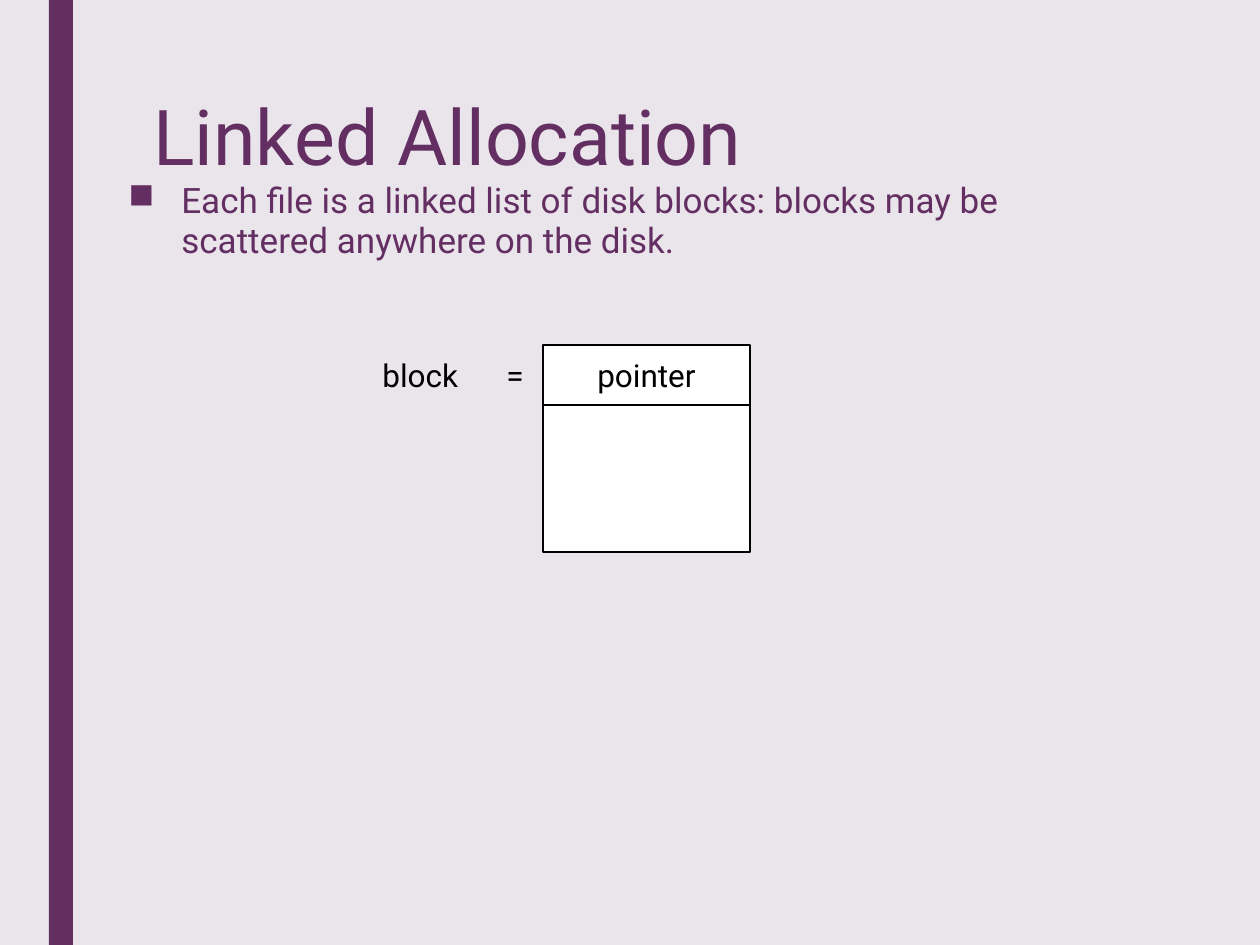
from dataclasses import dataclass

from lxml import etree
from pptx import Presentation
from pptx.dml.color import RGBColor
from pptx.enum.shapes import MSO_SHAPE
from pptx.enum.text import MSO_ANCHOR, PP_ALIGN
from pptx.oxml.ns import qn
from pptx.util import Emu, Pt

RECTANGLE = MSO_SHAPE.RECTANGLE
TOP, MIDDLE = MSO_ANCHOR.TOP, MSO_ANCHOR.MIDDLE
LEFT, CENTER = PP_ALIGN.LEFT, PP_ALIGN.CENTER
EMU_PER_PX = 914400 // 126
BLANK_LAYOUT = 6


@dataclass(frozen=True)
class Theme:
    background: RGBColor = RGBColor(0xEA, 0xE5, 0xEB)
    accent: RGBColor = RGBColor(0x63, 0x2E, 0x62)
    ink: RGBColor = RGBColor(0, 0, 0)
    paper: RGBColor = RGBColor(0xFF, 0xFF, 0xFF)
    font: str = "Roboto"
    title_size: int = 44
    body_size: int = 20
    label_size: int = 18
    line_width: float = 0.75


THEME = Theme()


def px(length):
    return Emu(length * EMU_PER_PX)


def add_box(slide, box, fill, line=None):
    rectangle = slide.shapes.add_shape(RECTANGLE, *map(px, box))
    rectangle.shadow.inherit = False
    rectangle.fill.solid()
    rectangle.fill.fore_color.rgb = fill
    if line is None:
        rectangle.line.fill.background()
    else:
        rectangle.line.color.rgb = line
        rectangle.line.width = Pt(THEME.line_width)
    return rectangle


def write(shape, text, *, size, color, align=LEFT, anchor=TOP, wrap=True, spacing=1.0):
    frame = shape.text_frame
    frame.word_wrap = wrap
    frame.vertical_anchor = anchor
    paragraph = frame.paragraphs[0]
    paragraph.alignment = align
    paragraph.line_spacing = spacing
    run = paragraph.add_run()
    run.text = text
    run.font.name = THEME.font
    run.font.size = Pt(size)
    run.font.color.rgb = color
    return paragraph


def add_text(slide, box, text, **text_format):
    return write(slide.shapes.add_textbox(*map(px, box)), text, **text_format)


def set_bullet(paragraph, mark, indent):
    properties = paragraph._p.get_or_add_pPr()
    properties.set("marL", str(px(indent)))
    properties.set("indent", str(px(-indent)))
    etree.SubElement(properties, qn("a:buChar"), char=mark)


def set_tab_stop(paragraph, position):
    tabs = etree.SubElement(paragraph._p.get_or_add_pPr(), qn("a:tabLst"))
    etree.SubElement(tabs, qn("a:tab"), pos=str(px(position)), algn="l")


def add_side_bar(slide, box):
    add_box(slide, box, THEME.accent)


def add_heading(slide, box):
    left, top, width, height = box
    # Title
    add_text(slide, (left + 25, top, width - 25, 84), "Linked Allocation",
             size=THEME.title_size, color=THEME.accent, spacing=0.89)
    # Bulleted statement
    statement = add_text(
        slide, (left, top + 82, width, height - 82),
        "Each file is a linked list of disk blocks: blocks may be scattered anywhere on the disk.",
        size=THEME.body_size, color=THEME.accent, spacing=0.94)
    statement.space_before, statement.space_after = Pt(10), Pt(2)
    set_bullet(statement, "■", 53)


def add_block_diagram(slide, box):
    left, top, width, height = box
    label_width, pointer_height = 173, 60
    block_left, block_width = left + label_width, width - label_width
    # Block: pointer field above the data field
    pointer = add_box(slide, (block_left, top, block_width, pointer_height),
                      THEME.paper, THEME.ink)
    write(pointer, "pointer", size=THEME.label_size, color=THEME.ink,
          align=CENTER, anchor=MIDDLE, wrap=False)
    add_box(slide, (block_left, top + pointer_height, block_width, height - pointer_height),
            THEME.paper, THEME.ink)
    # Equation label on the left
    equation = add_text(slide, (left, top + 4, label_width - 3, 51), "block\t=",
                        size=THEME.label_size, color=THEME.ink, anchor=MIDDLE)
    set_tab_stop(equation, 124)


def main():
    presentation = Presentation()
    presentation.slide_width, presentation.slide_height = px(1260), px(945)
    slide = presentation.slides.add_slide(presentation.slide_layouts[BLANK_LAYOUT])
    slide.background.fill.solid()
    slide.background.fill.fore_color.rgb = THEME.background
    add_side_bar(slide, (49, 0, 24, 945))
    add_heading(slide, (116, 94, 1013, 184))
    add_block_diagram(slide, (370, 345, 380, 207))
    presentation.save("out.pptx")


if __name__ == "__main__":
    main()
